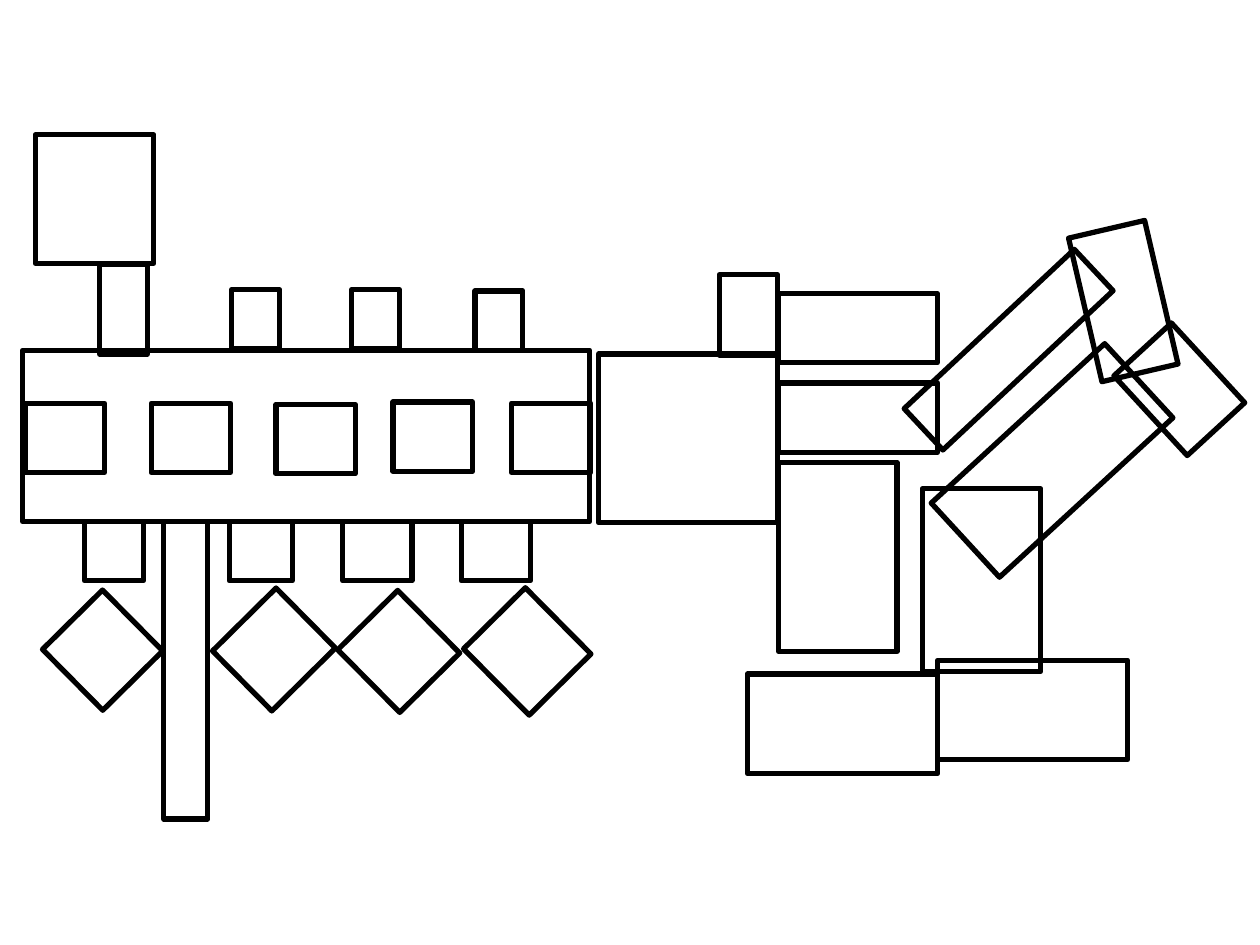
from dataclasses import dataclass

from pptx import Presentation
from pptx.dml.color import RGBColor
from pptx.enum.shapes import MSO_SHAPE
from pptx.util import Inches, Pt

RECT = MSO_SHAPE.RECTANGLE
BLACK = RGBColor(0, 0, 0)
WIDE, HIGH = 10, 7.5
DECK = 2.78
KEEL = 4.14
JOINT = 6.18
TILT = 315.3
BEND = 47.4


@dataclass(frozen=True)
class Box:
    left: float
    top: float
    width: float
    height: float
    turn: float = 0


def draw(slide, box: Box) -> None:
    shape = slide.shapes.add_shape(
        RECT, Inches(box.left), Inches(box.top),
        Inches(box.width), Inches(box.height))
    shape.rotation = box.turn
    shape.shadow.inherit = False
    shape.fill.background()
    shape.line.color.rgb = BLACK
    shape.line.width = Pt(3)


def row(spots: list[tuple[float, float]], width: float, height: float) -> list[Box]:
    return [Box(left, top, width, height) for left, top in spots]


hull = [
    Box(0.28, 1.07, 0.94, 1.02),
    Box(0.79, 2.1, 0.38, 0.71),
    Box(0.18, DECK, 4.5, KEEL - DECK),
    Box(1.3, KEEL, 0.35, 2.36),
]
studs = row([(1.84, 2.3), (2.79, 2.3), (3.77, 2.31)], 0.38, 0.47)
panes = row([(0.2, 3.2), (1.2, 3.2), (2.19, 3.21), (3.12, 3.19), (4.06, 3.2)],
            0.63, 0.55)
pegs = [Box(left, KEEL, width, 0.47)
        for left, width in [(0.67, 0.47), (1.82, 0.5), (2.72, 0.55), (3.66, 0.55)]]
gems = [
    Box(0.48, 4.82, 0.67, 0.68, TILT),
    Box(1.82, 4.82, 0.71, 0.67, TILT),
    Box(2.83, 4.82, 0.67, 0.7, TILT),
    Box(3.84, 4.8, 0.69, 0.74, TILT),
]
block = [
    Box(4.75, 2.81, 1.42, 1.34),
    Box(5.71, 2.18, 0.46, 0.64),
    Box(JOINT, 3.67, 0.94, 1.5),
]
bars = row([(JOINT, 2.33), (JOINT, 3.04)], 1.26, 0.55)
feet = [Box(left, top, 0.79, 1.51, 90) for left, top in [(6.29, 4.99), (7.8, 4.88)]]
limbs = [
    Box(7.08, 2.55, 1.85, 0.45, 316.9),
    Box(8.33, 2.08, 1.17, 0.62, 76.9),
    Box(8.93, 2.78, 0.86, 0.62, BEND),
    Box(7.95, 2.72, 0.8, 1.87, BEND),
    Box(7.32, 3.88, 0.94, 1.45),
]

deck = Presentation()
deck.slide_width, deck.slide_height = Inches(WIDE), Inches(HIGH)
slide = deck.slides.add_slide(deck.slide_layouts[6])
for group in (hull, studs, panes, pegs, gems, block, bars, feet, limbs):
    for box in group:
        draw(slide, box)
deck.save("out.pptx")
